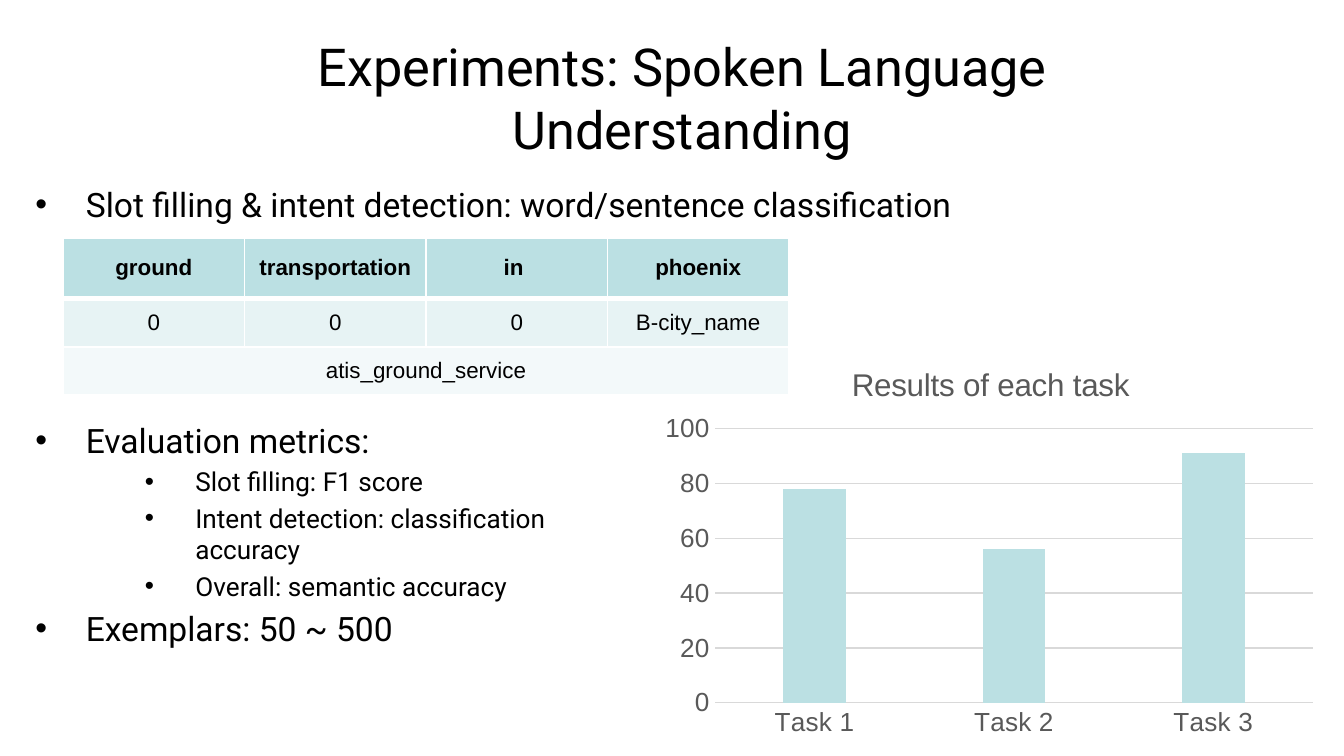
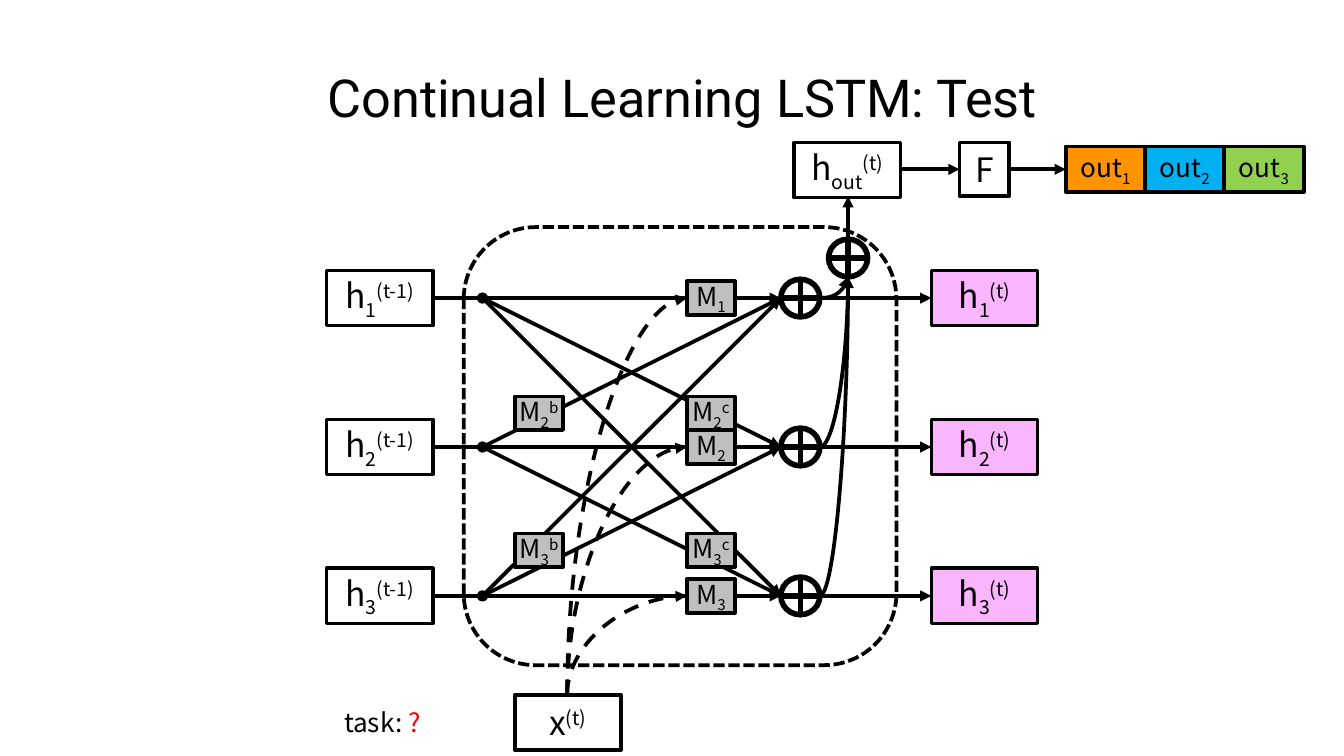
"""Build two slides: task results for language understanding and the LSTM test diagram."""
from lxml import etree
from pptx import Presentation
from pptx import util as u
from pptx.chart import data
from pptx.dml.color import RGBColor
from pptx.enum import chart as charts, dml, shapes, text
from pptx.oxml import ns

BLACK = RGBColor(0x00, 0x00, 0x00)
WHITE = RGBColor(0xFF, 0xFF, 0xFF)
RED = RGBColor(0xFF, 0x00, 0x00)
GREY = RGBColor(0xBF, 0xBF, 0xBF)
PINK = RGBColor(0xFA, 0xB5, 0xFF)
ORANGE = RGBColor(0xFF, 0x93, 0x00)
BLUE = RGBColor(0x00, 0xB0, 0xF0)
GREEN = RGBColor(0x92, 0xD0, 0x50)
TEAL = RGBColor(0xBB, 0xE0, 0xE3)
TEAL_LIGHT = RGBColor(0xE7, 0xF3, 0xF4)
TEAL_PALE = RGBColor(0xF3, 0xF9, 0xFA)
AXIS_TEXT = RGBColor(0x59, 0x59, 0x59)
GRID_LINE = RGBColor(0xD9, 0xD9, 0xD9)
HEADING_FONT, LABEL_FONT, DATA_FONT = "Roboto", "Noto Sans CJK JP", "Arial"
SUB, SUP = -25000, 30000
RECT = shapes.MSO_SHAPE.RECTANGLE
STRAIGHT, CURVE = shapes.MSO_CONNECTOR.STRAIGHT, shapes.MSO_CONNECTOR.CURVE

deck = Presentation()
deck.slide_width = u.Inches(10)
deck.slide_height = deck.slide_width * 9 // 16
COL = deck.slide_width // 100


def box(slide, kind, left, top, width, height, pieces=(), size=18, fill=None,
        border=2, font=LABEL_FONT, wrap=False):
    shape = slide.shapes.add_shape(kind, *[int(n * COL) for n in (left, top, width, height)])
    shape.shadow.inherit = False
    if fill is None:
        shape.fill.background()
    else:
        shape.fill.solid()
        shape.fill.fore_color.rgb = fill
    if border:
        shape.line.color.rgb = BLACK
        shape.line.width = u.Pt(border)
    else:
        shape.line.fill.background()
    frame = shape.text_frame
    frame.word_wrap = wrap
    frame.vertical_anchor = text.MSO_ANCHOR.MIDDLE
    if not wrap:
        frame.margin_left = frame.margin_right = frame.margin_top = frame.margin_bottom = 0
    paragraph = frame.paragraphs[0]
    paragraph.alignment = text.PP_ALIGN.CENTER
    for wording, baseline in pieces:
        run = paragraph.add_run()
        run.text = wording
        run.font.size, run.font.name = u.Pt(size), font
        run.font.color.rgb = BLACK
        if baseline:
            run.font._element.set("baseline", str(baseline))
    return shape


def link(slide, start, end, tip="triangle", kind=STRAIGHT):
    line = slide.shapes.add_connector(kind, *[int(n * COL) for n in (*start, *end)])
    line.line.color.rgb = BLACK
    line.line.width = u.Pt(2)
    properties = line._element.spPr
    etree.SubElement(properties.find(ns.qn("a:ln")), ns.qn("a:tailEnd"), type=tip)
    etree.SubElement(properties, ns.qn("a:effectLst"))
    if kind == CURVE:
        properties.find(ns.qn("a:prstGeom")).set("prst", "curvedConnector2")
    return line


titles = ["Experiments: Spoken Language Understanding", "Continual Learning LSTM: Test"]
experiments, diagram = [deck.slides.add_slide(deck.slide_layouts[6]) for _ in titles]
for slide, title in zip((experiments, diagram), titles):
    box(slide, RECT, 11, 1.15, 79.5, 12.1, [(title, 0)], 28, WHITE, 0, HEADING_FONT, True)

results = data.CategoryChartData()
results.categories = ["Task 1", "Task 2", "Task 3"]
results.add_series("Series 1", (78, 56, 91))
chart = experiments.shapes.add_chart(
    charts.XL_CHART_TYPE.COLUMN_CLUSTERED,
    *[int(n * COL) for n in (48.7, 25.6, 50, 30)], results).chart
chart.font.size, chart.font.name = u.Pt(14), DATA_FONT
chart.font.color.rgb = AXIS_TEXT
chart.has_legend = False
chart.has_title = True
chart.chart_title.text_frame.text = "Results of each task"
heading = chart.chart_title.text_frame.paragraphs[0].runs[0].font
heading.size, heading.name, heading.bold = u.Pt(16.8), DATA_FONT, False
heading.color.rgb = AXIS_TEXT
bars = chart.plots[0]
bars.gap_width, bars.overlap, bars.vary_by_categories = 219, -27, False
bars.series[0].format.fill.solid()
bars.series[0].format.fill.fore_color.rgb = TEAL
tasks, scores = chart.category_axis, chart.value_axis
for axis in (tasks, scores):
    axis.major_tick_mark = axis.minor_tick_mark = charts.XL_TICK_MARK.NONE
    axis.tick_labels.font.size, axis.tick_labels.font.name = u.Pt(14), DATA_FONT
    axis.tick_labels.font.color.rgb = AXIS_TEXT
scores.minimum_scale, scores.maximum_scale, scores.major_unit = 0, 100, 20
scores.format.line.fill.background()
scores.has_major_gridlines = True
for rule in (tasks.format.line, scores.major_gridlines.format.line):
    rule.color.rgb = GRID_LINE
    rule.width = u.Pt(0.75)
plot_area = chart._chartSpace.find(".//" + ns.qn("c:plotArea"))
for old_layout in plot_area.findall(ns.qn("c:layout")):
    plot_area.remove(old_layout)
layout = etree.Element(ns.qn("c:layout"))
manual = etree.SubElement(layout, ns.qn("c:manualLayout"))
for tag, value in (("layoutTarget", "inner"), ("xMode", "edge"), ("yMode", "edge"),
                   ("x", "0.09"), ("y", "0.21"), ("w", "0.89"), ("h", "0.68")):
    etree.SubElement(manual, ns.qn("c:" + tag), val=value)
plot_area.insert(0, layout)

bullet_groups = [
    ((1.65, 13.2, 98.35, 4.3),
     [(0, "Slot filling & intent detection: word/sentence classification")]),
    ((1.65, 30.75, 47.1, 22.3),
     [(0, "Evaluation metrics:"),
      (1, "Slot filling: F1 score"),
      (1, "Intent detection: classification accuracy"),
      (1, "Overall: semantic accuracy"),
      (0, "Exemplars: 50 ~ 500")]),
]
for place, bullets in bullet_groups:
    frame = experiments.shapes.add_textbox(*[int(n * COL) for n in place]).text_frame
    frame.word_wrap = True
    for number, (level, wording) in enumerate(bullets):
        bullet = frame.add_paragraph() if number else frame.paragraphs[0]
        bullet.text = wording
        bullet.level = level
        font = bullet.runs[0].font
        font.size, font.name = u.Pt((18, 14)[level]), HEADING_FONT
        font.color.rgb = BLACK
        properties = bullet._p.get_or_add_pPr()
        properties.set("marL", str(int((3.75, 11.9)[level] * COL)))
        properties.set("indent", str(int(-3.75 * COL)))
        spacing = etree.SubElement(properties, ns.qn("a:spcBef"))
        etree.SubElement(spacing, ns.qn("a:spcPct"), val="20000")
        etree.SubElement(properties, ns.qn("a:buFont"), typeface=DATA_FONT)
        etree.SubElement(properties, ns.qn("a:buChar"), char="•")

slots = [["ground", "transportation", "in ", "phoenix"],
         ["0", "0", "0", "B-city_name"],
         ["atis_ground_service", "", "", ""]]
table = experiments.shapes.add_table(
    3, 4, *[int(n * COL) for n in (4.7, 17.7, 54, 11.7)]).table
for row, height in zip(table.rows, (4.5, 3.6, 3.6)):
    row.height = int(height * COL)
table.cell(2, 0).merge(table.cell(2, 3))
for r, words in enumerate(slots):
    for c, word in enumerate(words):
        cell = table.cell(r, c)
        for side in "LRTB":
            thick = (r, side) in ((0, "B"), (1, "T"))
            edge = etree.SubElement(cell._tc.get_or_add_tcPr(), ns.qn("a:ln" + side),
                                    w=str(u.Pt(3 if thick else 1)))
            paint = etree.SubElement(edge, ns.qn("a:solidFill"))
            etree.SubElement(paint, ns.qn("a:srgbClr"), val=str(WHITE))
        cell.fill.solid()
        cell.fill.fore_color.rgb = (TEAL, TEAL_LIGHT, TEAL_PALE)[r]
        cell.vertical_anchor = text.MSO_ANCHOR.MIDDLE
        if word:
            cell.text_frame.text = word
            paragraph = cell.text_frame.paragraphs[0]
            paragraph.alignment = text.PP_ALIGN.CENTER
            font = paragraph.runs[0].font
            font.size, font.name, font.bold = u.Pt(12), DATA_FONT, r == 0
            font.color.rgb = BLACK

lanes = [22.18 + 11.08 * n for n in range(3)]
FORK, SUM_LEFT, SUM_RIGHT, MASK = 35.9, 58.1, 61, 51.1
OUT_X, OUT_Y, INPUT_X = 63.1, 12.6, 42.2
cell_frame = box(diagram, shapes.MSO_SHAPE.ROUNDED_RECTANGLE, 34.5, 16.9, 32.2, 32.6)
cell_frame.line.dash_style = dml.MSO_LINE.SQUARE_DOT
for source in lanes:
    for target in lanes:
        link(diagram, (FORK, source), (SUM_LEFT, target))

for left, letter in ((MASK, "c"), (38.3, "b")):
    for top, number in ((29.5, "2"), (39.7, "3")):
        box(diagram, RECT, left, top, 3.6, 2.5,
            [("M", 0), (number, SUB), (letter, SUP)], 14, GREY)

for number, lane in enumerate(lanes, 1):
    box(diagram, RECT, MASK, lane - 1.25, 3.6, 2.5, [("M", 0), (str(number), SUB)], 14, GREY)
    for left, moment, fill in ((69.3, "(t)", PINK), (24.3, "(t-1)", None)):
        box(diagram, RECT, left, lane - 2.05, 7.9, 4.1,
            [("h", 0), (str(number), SUB), (moment, SUP)], fill=fill)
    box(diagram, shapes.MSO_SHAPE.FLOWCHART_OR, SUM_LEFT, lane - 1.4, 2.9, 2.8,
        fill=WHITE, border=3)
    link(diagram, (SUM_RIGHT, lane), (69.3, lane))
    link(diagram, (32.2, lane), (FORK, lane), "oval")

box(diagram, shapes.MSO_SHAPE.FLOWCHART_OR, OUT_X - 1.45, 17.8, 2.9, 2.8, fill=WHITE, border=3)
box(diagram, RECT, 59.1, OUT_Y - 2, 7.9, 4.1, [("h", 0), ("out", SUB), ("(t)", SUP)])
link(diagram, (OUT_X, 17.8), (OUT_X, 14.6))
box(diagram, RECT, 38.3, 51.7, 7.9, 4.1, [("x", 0), ("(t)", SUP)])

for lane in lanes:
    rise, reach = 51.7 - lane, MASK - INPUT_X
    middle_x, middle_y = INPUT_X + reach / 2, lane + rise / 2
    feed = link(diagram, (middle_x + rise / 2, middle_y + reach / 2),
                (middle_x - rise / 2, middle_y - reach / 2), kind=CURVE)
    feed._element.spPr.find(ns.qn("a:xfrm")).set("rot", "5400000")
    feed.line.dash_style = dml.MSO_LINE.DASH
    link(diagram, (SUM_RIGHT, lane), (OUT_X, 20.6), kind=CURVE)

box(diagram, RECT, 71.4, OUT_Y - 2, 3.7, 4, [("F", 0)])
link(diagram, (67, OUT_Y), (71.4, OUT_Y))
for n, fill in enumerate((ORANGE, BLUE, GREEN)):
    box(diagram, RECT, 79.3 + 5.9 * n, OUT_Y - 1.7, 5.9, 3.4,
        [("out", 0), (str(n + 1), SUB)], 14, fill)
link(diagram, (75.1, OUT_Y), (79.3, OUT_Y))
task = box(diagram, RECT, 24.5, 52, 7.9, 3.4, [("task: ", 0), ("?", 0)], 14, border=0)
task.text_frame.paragraphs[0].runs[1].font.color.rgb = RED

deck.save("out.pptx")
